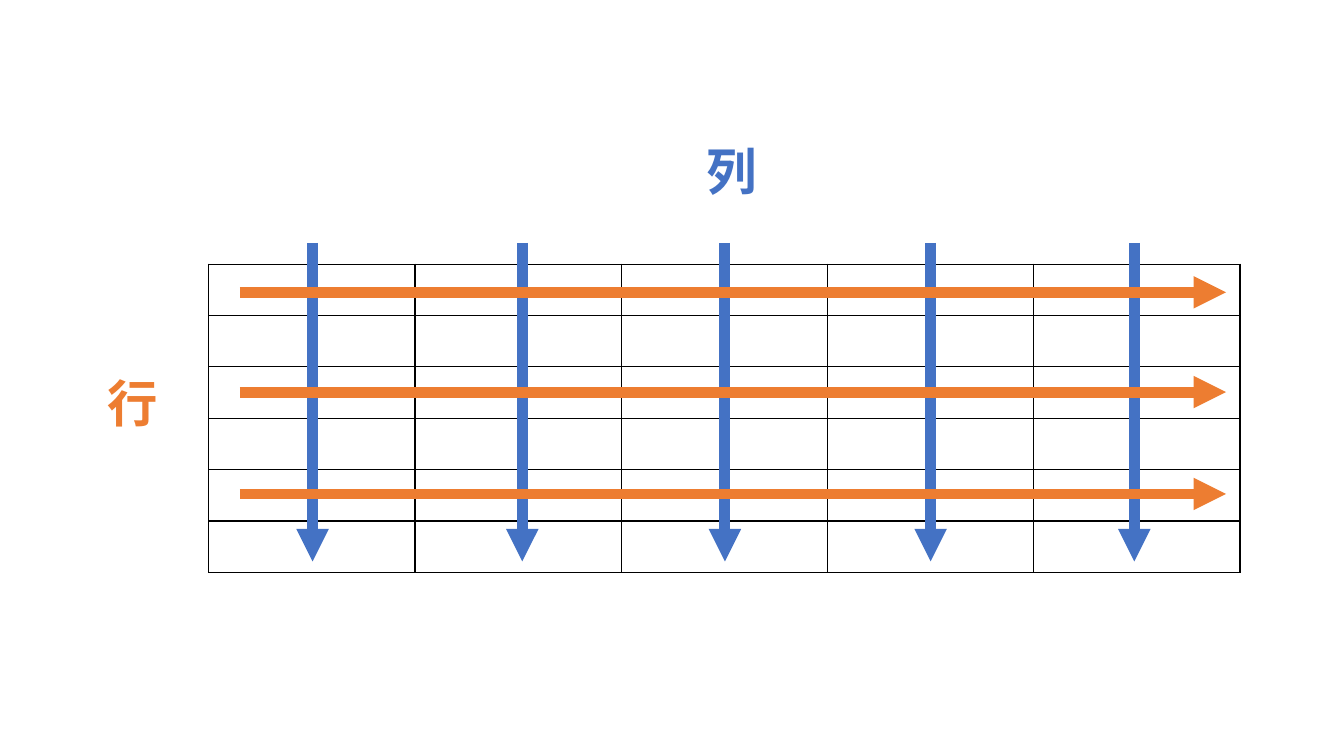
"""Build a slide that explains the rows and columns of a table."""
from dataclasses import dataclass

from lxml.etree import SubElement
from pptx import Presentation
from pptx.dml.color import RGBColor
from pptx.enum.text import MSO_AUTO_SIZE
from pptx.oxml.ns import qn
from pptx.slide import Slide
from pptx.util import Inches, Pt

FONT = "Noto Sans CJK JP"
COLUMN_COLOR = "4472C4"
ROW_COLOR = "ED7D31"
BORDER_COLOR = "000000"
ROW_COUNT, COLUMN_COUNT = 6, 5


@dataclass
class Arrow:
    start: tuple[float, float]
    end: tuple[float, float]
    color: str


@dataclass
class Label:
    text: str
    left: float
    top: float
    color: str


ARROWS = [
    Arrow((x, 2.41), (x, 5.57), COLUMN_COLOR) for x in (3.1, 5.18, 7.19, 9.23, 11.25)
] + [
    Arrow((2.38, y), (12.16, y), ROW_COLOR) for y in (2.9, 3.89, 4.9)
]
LABELS = [
    Label("行", 0.97, 3.64, ROW_COLOR),
    Label("列", 6.91, 1.34, COLUMN_COLOR),
]


def rgb(color: str) -> RGBColor:
    return RGBColor.from_string(color)


def add_grid(page: Slide) -> None:
    frame = page.shapes.add_table(
        ROW_COUNT, COLUMN_COUNT, Inches(2.07), Inches(2.62), Inches(10.23), Inches(3.06)
    )
    table = frame.table
    table.first_row = False
    table.horz_banding = False
    for cell in table.iter_cells():
        properties = cell._tc.get_or_add_tcPr()
        for side in ("lnL", "lnR", "lnT", "lnB"):
            border = SubElement(properties, qn(f"a:{side}"), w=str(Pt(1)))
            fill = SubElement(border, qn("a:solidFill"))
            SubElement(fill, qn("a:srgbClr"), val=BORDER_COLOR)
        cell.fill.background()


def add_arrow(page: Slide, arrow: Arrow) -> None:
    points = [Inches(value) for value in (*arrow.start, *arrow.end)]
    connector = page.shapes.add_connector(1, *points)
    connector.line.width = Pt(7.75)
    connector.line.color.rgb = rgb(arrow.color)
    SubElement(connector.line._get_or_add_ln(), qn("a:tailEnd"), type="triangle")
    SubElement(connector._element.spPr, qn("a:effectLst"))


def add_label(page: Slide, label: Label) -> None:
    box = page.shapes.add_textbox(
        Inches(label.left), Inches(label.top), Inches(0.71), Inches(0.71)
    )
    box.text_frame.word_wrap = False
    box.text_frame.auto_size = MSO_AUTO_SIZE.SHAPE_TO_FIT_TEXT
    para = box.text_frame.paragraphs[0]
    span = para.add_run()
    span.text = label.text
    for name, value in {"size": Pt(36), "bold": True, "name": FONT}.items():
        setattr(span.font, name, value)
    span.font.color.rgb = rgb(label.color)
    SubElement(span._r.get_or_add_rPr(), qn("a:ea"), typeface=FONT)


def main() -> None:
    deck = Presentation()
    deck.slide_width = Inches(13.33)
    deck.slide_height = Inches(7.5)
    page = deck.slides.add_slide(deck.slide_layouts[6])
    add_grid(page)
    for arrow in ARROWS:
        add_arrow(page, arrow)
    for label in LABELS:
        add_label(page, label)
    deck.save("out.pptx")


if __name__ == "__main__":
    main()
